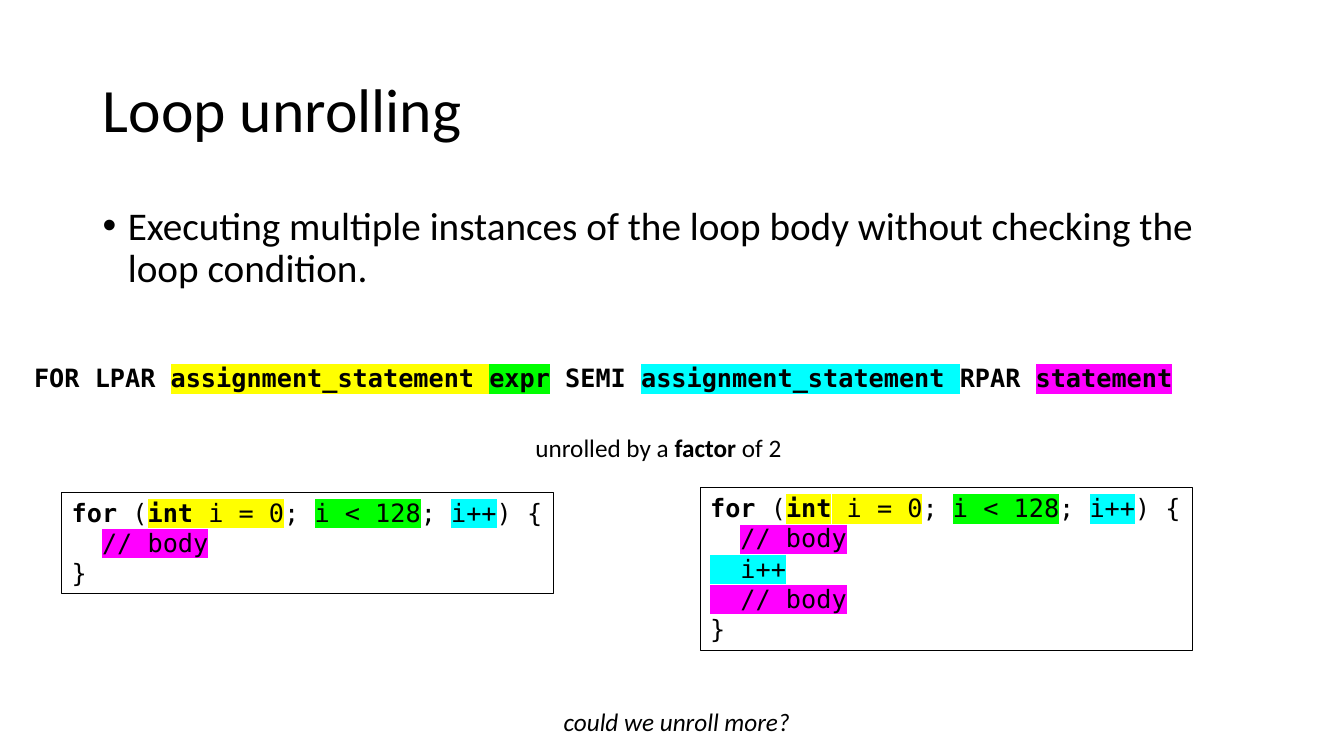
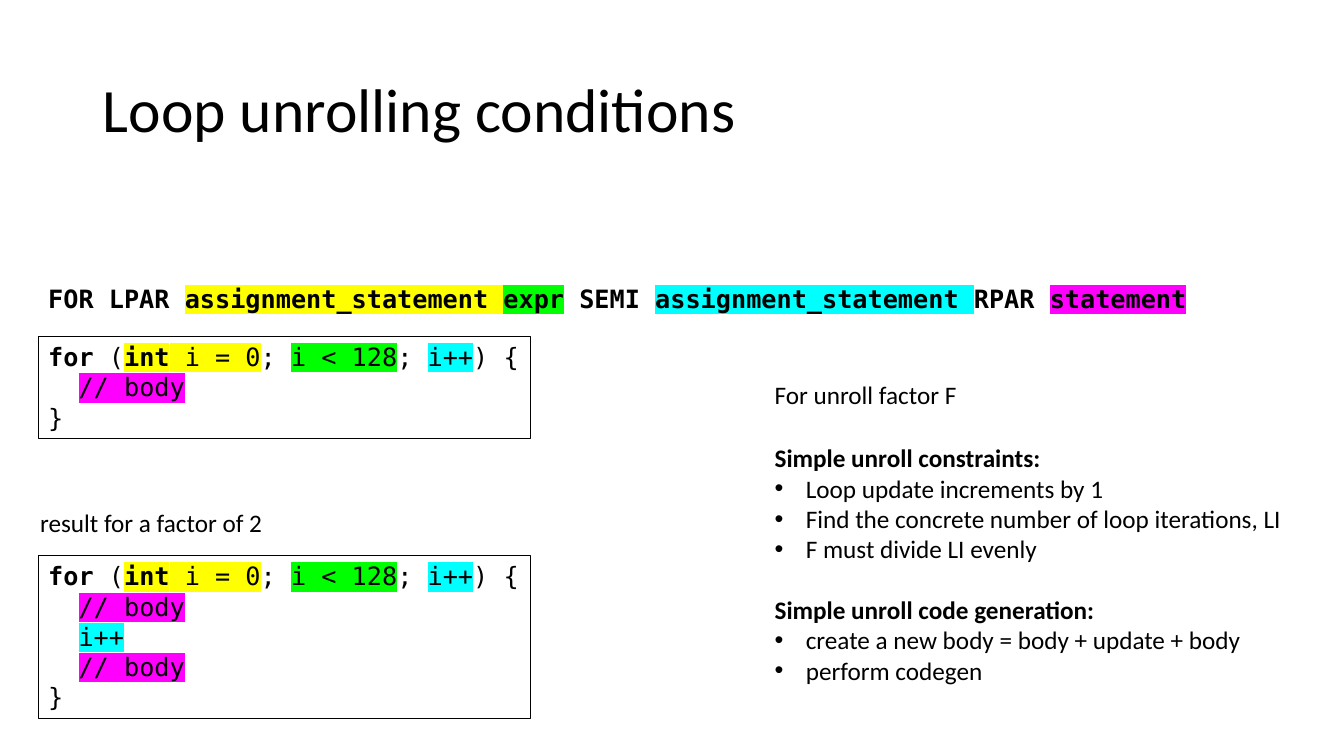
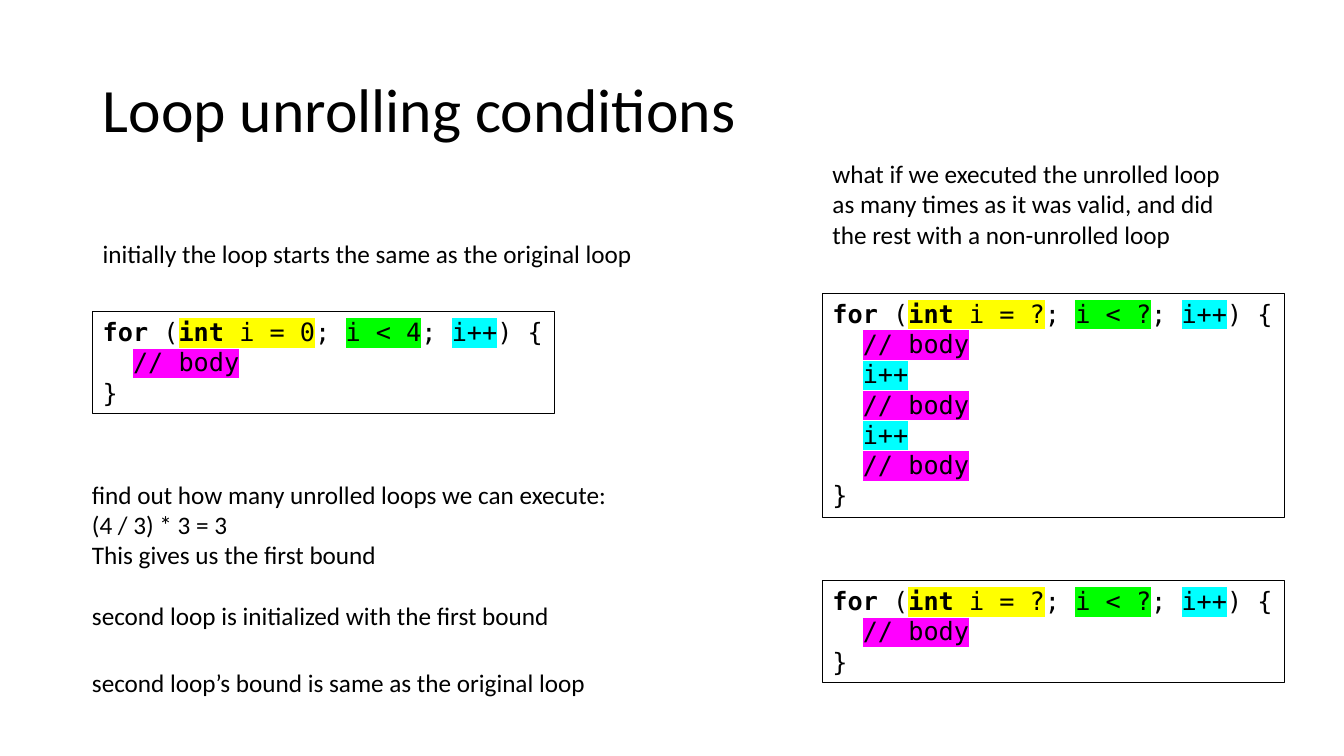
import pptx
import pptx.util
import pptx.dml.color
import pptx.enum.shapes
import pptx.enum.text
from lxml import etree
from pptx.oxml.ns import qn

RGB = pptx.dml.color.RGBColor
Pt = pptx.util.Pt
BLACK = RGB(0x00, 0x00, 0x00)
YELLOW = RGB(0xFF, 0xFF, 0x00)
GREEN = RGB(0x00, 0xFF, 0x00)
CYAN = RGB(0x00, 0xFF, 0xFF)
MAGENTA = RGB(0xFF, 0x00, 0xFF)
PROSE, CODE = "Calibri", "DejaVu Sans Mono"

# Run styles: font format and highlight
STYLES = {
    "plain": ({}, None),
    "bold": ({"bold": True}, None),
    "italic": ({"italic": True}, None),
    "init": ({}, YELLOW),
    "init bold": ({"bold": True}, YELLOW),
    "bound": ({}, GREEN),
    "bound bold": ({"bold": True}, GREEN),
    "update": ({}, CYAN),
    "update bold": ({"bold": True}, CYAN),
    "body": ({}, MAGENTA),
    "body bold": ({"bold": True}, MAGENTA),
}

# Line kinds: paragraph format and bullet indent in inches
LINES = {
    "normal": ({}, 0),
    "bullet": ({}, 0.31),
    "section": ({"space_before": Pt(22)}, 0),
    "lead": ({"space_before": Pt(10), "line_spacing": 0.9}, 0.25),
}


def line(words, style="plain", kind="normal"):
    return kind, [(words, style)]


def bullet(words):
    return line(words, kind="bullet")


def loop(start, limit, *statements):
    header = [("for", "bold"), (" (", "plain"), ("int", "init bold"),
              (f" i = {start}", "init"), ("; ", "plain"),
              (f"i < {limit}", "bound"), ("; ", "plain"),
              ("i++", "update"), (") {", "plain")]
    return [("normal", header),
            *(("normal", runs) for runs in statements), line("}")]


# Content: code
BODY = [("  ", "plain"), ("// body", "body")]
UPDATE = [("  ", "plain"), ("i++", "update")]
WIDE_BODY = [("  // body", "body")]
WIDE_UPDATE = [("  i++", "update")]
GRAMMAR = [("normal", [
    ("FOR LPAR ", "bold"), ("assignment_statement ", "init bold"),
    ("expr", "bound bold"), (" SEMI ", "bold"),
    ("assignment_statement ", "update bold"), ("RPAR ", "bold"),
    ("statement", "body bold")])]
ROLLED = loop(0, 128, BODY)

# Content: slides; left, top and width are percent of the slide
MARGIN, TITLE_WIDTH, GRAMMAR_WIDTH = 6.9, 86.25, 86.85
NOTES, EDGE, RIGHT, STEPS = 56.9, 2.85, 61.2, 6.1
SLIDES = [
    {"title": "Loop unrolling",
     "lead": "Executing multiple instances of the loop body without checking "
             "the loop condition.",
     "grammar": (1.8, 47.3),
     "loops": [
         (4.6, 65.1, ROLLED),
         (52.1, 64.5, loop(0, 128, BODY, WIDE_UPDATE, WIDE_BODY))],
     "remarks": [
         (39.1, 56.5, 20, [("normal", [("unrolled by a ", "plain"),
                                       ("factor", "bold"),
                                       (" of 2", "plain")])]),
         (41.2, 92.8, 18.75, [line("could we unroll more?", "italic")])]},
    {"title": "Loop unrolling conditions",
     "grammar": (EDGE, 36.8),
     "loops": [
         (EDGE, 44.5, ROLLED),
         (EDGE, 73.5, loop(0, 128, BODY, UPDATE, BODY))],
     "remarks": [
         (NOTES, 57.9, 39.7, [
             line("Simple unroll constraints:", "bold"),
             bullet("Loop update increments by 1"),
             bullet("Find the concrete number of loop iterations, LI"),
             bullet("F must divide LI evenly"),
             line("Simple unroll code generation:", "bold", "section"),
             bullet("create a new body = body + update + body"),
             bullet("perform codegen")]),
         (NOTES, 49.5, 15.2, [line("For unroll factor F")]),
         (2.25, 66.5, 18.2, [line("result for a factor of 2")])]},
    {"title": "Loop unrolling conditions",
     "loops": [
         (RIGHT, 38.8, loop("?", "?", BODY, UPDATE, BODY, UPDATE, BODY)),
         (RIGHT, 76.8, loop("?", "?", BODY)),
         (MARGIN, 41.2, loop(0, 4, BODY))],
     "remarks": [
         (RIGHT, 20.3, 30.75, [
             line("what if we executed the unrolled loop"),
             line("as many times as it was valid, and did"),
             line("the rest with a non-unrolled loop")]),
         (MARGIN, 30.9, 41.3, [
             line("initially the loop starts the same as the original loop")]),
         (STEPS, 62.7, 40.3, [
             line("find out how many unrolled loops we can execute:"),
             line("(4 / 3) * 3 = 3"),
             line("This gives us the first bound")]),
         (STEPS, 78.8, 35.9, [
             line("second loop is initialized with the first bound")]),
         (STEPS, 87.6, 39.1, [
             line("second loop’s bound is same as the original loop")])]},
]

deck = pptx.Presentation()
deck.slide_width = pptx.util.Inches(13.33)
deck.slide_height = pptx.util.Inches(7.5)


def assign(target, values):
    for key, value in values.items():
        setattr(target, key, value)


def across(percent):
    return round(deck.slide_width * percent / 100)


def down(percent):
    return round(deck.slide_height * percent / 100)


def text_height(lines):
    rows = len(lines) + sum(kind == "section" for kind, _ in lines)
    return pptx.util.Inches(0.1 + 0.303 * rows)


def code_width(lines):
    longest = max(sum(len(words) for words, _ in runs) for _, runs in lines)
    return pptx.util.Inches(0.2 + 0.151 * longest)


def add_bullet(paragraph, inches):
    indent = pptx.util.Inches(inches)
    properties = paragraph._p.get_or_add_pPr()
    properties.set("marL", str(indent))
    properties.set("indent", str(-indent))
    etree.SubElement(properties, qn("a:buFont")).set("typeface", "Arial")
    etree.SubElement(properties, qn("a:buChar")).set("char", "•")


def add_highlight(run, color):
    highlight = etree.Element(qn("a:highlight"))
    etree.SubElement(highlight, qn("a:srgbClr")).set("val", str(color))
    run._r.rPr.find(qn("a:solidFill")).addnext(highlight)


def write(frame, lines, font, size=18, **frame_format):
    assign(frame, {"word_wrap": False,
                   "auto_size": pptx.enum.text.MSO_AUTO_SIZE.SHAPE_TO_FIT_TEXT,
                   "vertical_anchor": pptx.enum.text.MSO_ANCHOR.TOP,
                   **frame_format})
    for number, (kind, runs) in enumerate(lines):
        paragraph = frame.add_paragraph() if number else frame.paragraphs[0]
        paragraph_format, indent = LINES[kind]
        assign(paragraph, {"alignment": pptx.enum.text.PP_ALIGN.LEFT,
                           **paragraph_format})
        if indent:
            add_bullet(paragraph, indent)
        for words, style in runs:
            run = paragraph.add_run()
            run.text = words
            font_format, highlight = STYLES[style]
            assign(run.font, {"name": font, "size": Pt(size), **font_format})
            run.font.color.rgb = BLACK
            if highlight is not None:
                add_highlight(run, highlight)


def add_title(slide, words):
    title = slide.shapes.title
    assign(title, {"left": across(MARGIN), "top": down(5.3),
                   "width": across(TITLE_WIDTH), "height": down(19.3)})
    write(title.text_frame, [line(words)], PROSE, 44, word_wrap=True,
          auto_size=pptx.enum.text.MSO_AUTO_SIZE.NONE,
          vertical_anchor=pptx.enum.text.MSO_ANCHOR.MIDDLE)
    title.text_frame.paragraphs[0].line_spacing = 0.9


def add_lead(slide, words):
    lead = slide.shapes.add_textbox(across(MARGIN), down(26.67),
                                    across(TITLE_WIDTH), down(16.8))
    write(lead.text_frame, [line(words, kind="lead")], PROSE, 28,
          word_wrap=True, auto_size=pptx.enum.text.MSO_AUTO_SIZE.NONE)


def add_remark(slide, left, top, width, lines, font=PROSE, wrap=False):
    remark = slide.shapes.add_textbox(across(left), down(top), across(width),
                                      text_height(lines))
    write(remark.text_frame, lines, font, word_wrap=wrap)


def add_loop(slide, left, top, lines):
    frame = slide.shapes.add_shape(
        pptx.enum.shapes.MSO_SHAPE.RECTANGLE, across(left), down(top),
        code_width(lines), text_height(lines))
    frame.shadow.inherit = False
    frame.fill.background()
    frame.line.color.rgb = BLACK
    frame.line.width = Pt(0.75)
    write(frame.text_frame, lines, CODE)


# Build the slides
title_only = deck.slide_layouts[5]
for content in SLIDES:
    slide = deck.slides.add_slide(title_only)
    add_title(slide, content["title"])
    if "lead" in content:
        add_lead(slide, content["lead"])
    if "grammar" in content:
        add_remark(slide, *content["grammar"], GRAMMAR_WIDTH, GRAMMAR,
                   CODE, True)
    for code in content["loops"]:
        add_loop(slide, *code)
    for remark in content["remarks"]:
        add_remark(slide, *remark)

deck.save("out.pptx")
